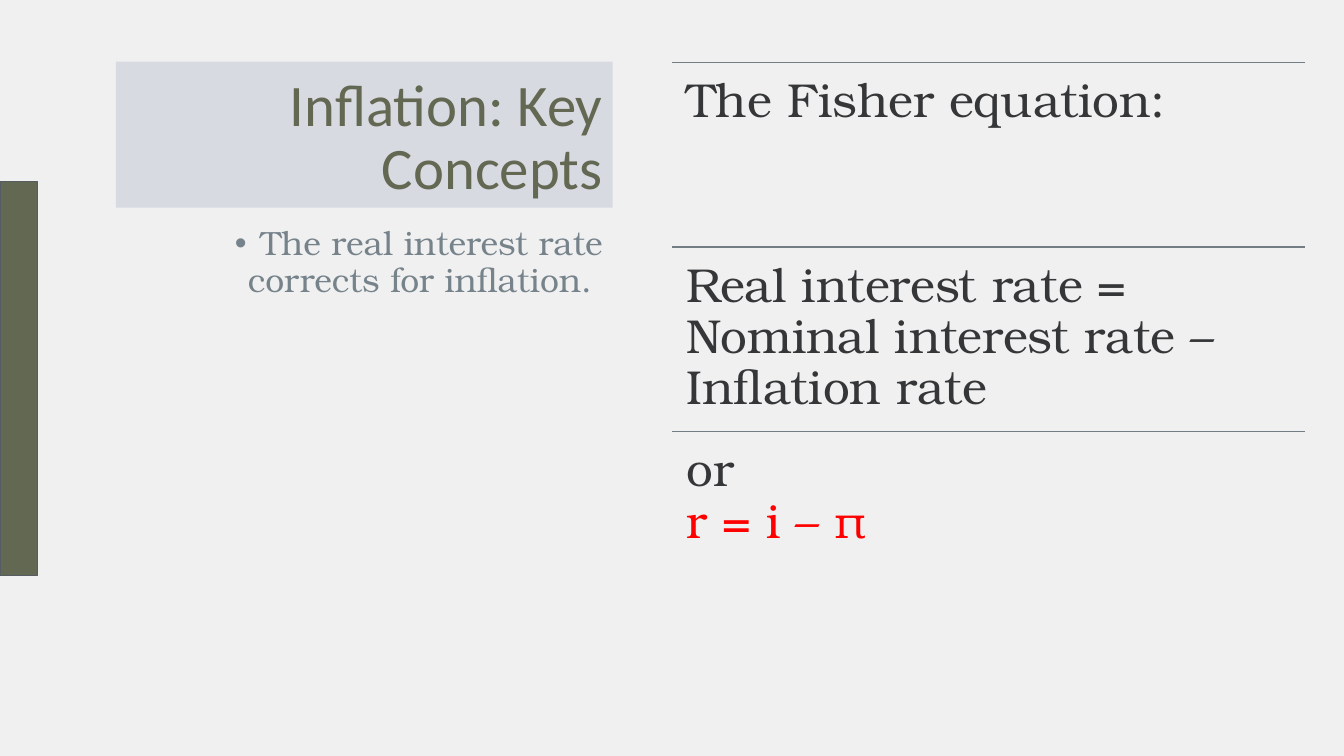
from lxml import etree
from pptx import Presentation
from pptx.dml.color import RGBColor
from pptx.enum.shapes import MSO_CONNECTOR, MSO_SHAPE
from pptx.enum.text import MSO_ANCHOR, MSO_AUTO_SIZE, PP_ALIGN
from pptx.oxml.ns import qn
from pptx.util import Cm, Pt

STRAIGHT = MSO_CONNECTOR.STRAIGHT
RECT = MSO_SHAPE.RECTANGLE
TOP, BOTTOM = MSO_ANCHOR.TOP, MSO_ANCHOR.BOTTOM
NO_FIT = MSO_AUTO_SIZE.NONE
LEFT, RIGHT = PP_ALIGN.LEFT, PP_ALIGN.RIGHT

PAPER = RGBColor(0xF0, 0xF0, 0xF0)
OLIVE = RGBColor(0x63, 0x68, 0x52)
EDGE = RGBColor(0x55, 0x5D, 0x62)
PALE = RGBColor(0xD7, 0xDA, 0xE1)
SLATE = RGBColor(0x76, 0x83, 0x8B)
RULE = RGBColor(0x73, 0x7E, 0x84)
INK = RGBColor(0x35, 0x36, 0x38)
RED = RGBColor(0xFF, 0, 0)

SANS = "Calibri"
SERIF = "TeX Gyre Bonum"

# Each row is a list of lines: (text, colour)
ROWS = [
    [("The Fisher equation:", INK)],
    [("Real interest rate = Nominal interest rate – Inflation rate", INK)],
    [("or ", INK), ("r = i – π", RED)],
]
ROW_X, ROW_Y, ROW_W, ROW_H = 16.94, 1.57, 15.95, 4.65


def place(shape, x, y, w, h):
    shape.left, shape.top = Cm(x), Cm(y)
    shape.width, shape.height = Cm(w), Cm(h)


def fill(shape, color):
    shape.fill.solid()
    shape.fill.fore_color.rgb = color


def frame(shape, anchor):
    text = shape.text_frame
    text.word_wrap = True
    text.auto_size = NO_FIT
    text.vertical_anchor = anchor
    return text


def write(para, lines, size, font, align):
    para.alignment = align
    para.line_spacing = 0.9
    para.space_before = Pt(0)
    for i, (words, color) in enumerate(lines):
        if i:
            para.add_line_break()
        run = para.add_run()
        run.text = words
        run.font.size = Pt(size)
        run.font.name = font
        run.font.color.rgb = color


def add_bullet(para, indent):
    props = para._p.get_or_add_pPr()
    props.set("marL", str(indent))
    props.set("indent", str(-indent))
    etree.SubElement(props, qn("a:buChar")).set("char", "•")


def add_bar(slide):
    bar = slide.shapes.add_shape(RECT, Cm(0), Cm(4.57), Cm(0.94), Cm(9.93))
    bar.shadow.inherit = False
    fill(bar, OLIVE)
    bar.line.color.rgb = EDGE
    bar.line.width = Pt(1)


def add_title(slide):
    title = slide.shapes.title
    place(title, 2.92, 1.55, 12.52, 3.68)
    fill(title, PALE)
    para = frame(title, BOTTOM).paragraphs[0]
    write(para, [("Inflation: Key Concepts", OLIVE)], 42, SANS, RIGHT)


def add_list(slide):
    body = slide.placeholders[1]
    place(body, 2.92, 5.59, 12.52, 9.93)
    para = frame(body, TOP).paragraphs[0]
    add_bullet(para, Cm(0.64))
    note = "The real interest rate corrects for inflation. "
    write(para, [(note, SLATE)], 24, SERIF, RIGHT)


def add_row(slide, y, lines):
    rule = slide.shapes.add_connector(
        STRAIGHT, Cm(ROW_X), Cm(y), Cm(ROW_X + ROW_W), Cm(y))
    rule.line.color.rgb = RULE
    rule.line.width = Pt(1)
    etree.SubElement(rule._element.spPr, qn("a:effectLst"))

    box = slide.shapes.add_textbox(Cm(ROW_X), Cm(y), Cm(ROW_W), Cm(ROW_H))
    text = frame(box, TOP)
    text.margin_left = text.margin_right = Cm(0.36)
    text.margin_top = text.margin_bottom = Cm(0.36)
    write(text.paragraphs[0], lines, 34, SERIF, LEFT)


def main():
    deck = Presentation()
    deck.slide_width, deck.slide_height = Cm(33.87), Cm(19.05)
    slide = deck.slides.add_slide(deck.slide_layouts[1])
    fill(slide.background, PAPER)

    # Left side: bar, title and list
    add_bar(slide)
    add_title(slide)
    add_list(slide)

    # Right side: ruled rows at equal steps
    for i, lines in enumerate(ROWS):
        add_row(slide, ROW_Y + i * ROW_H, lines)

    deck.save("out.pptx")


if __name__ == "__main__":
    main()
